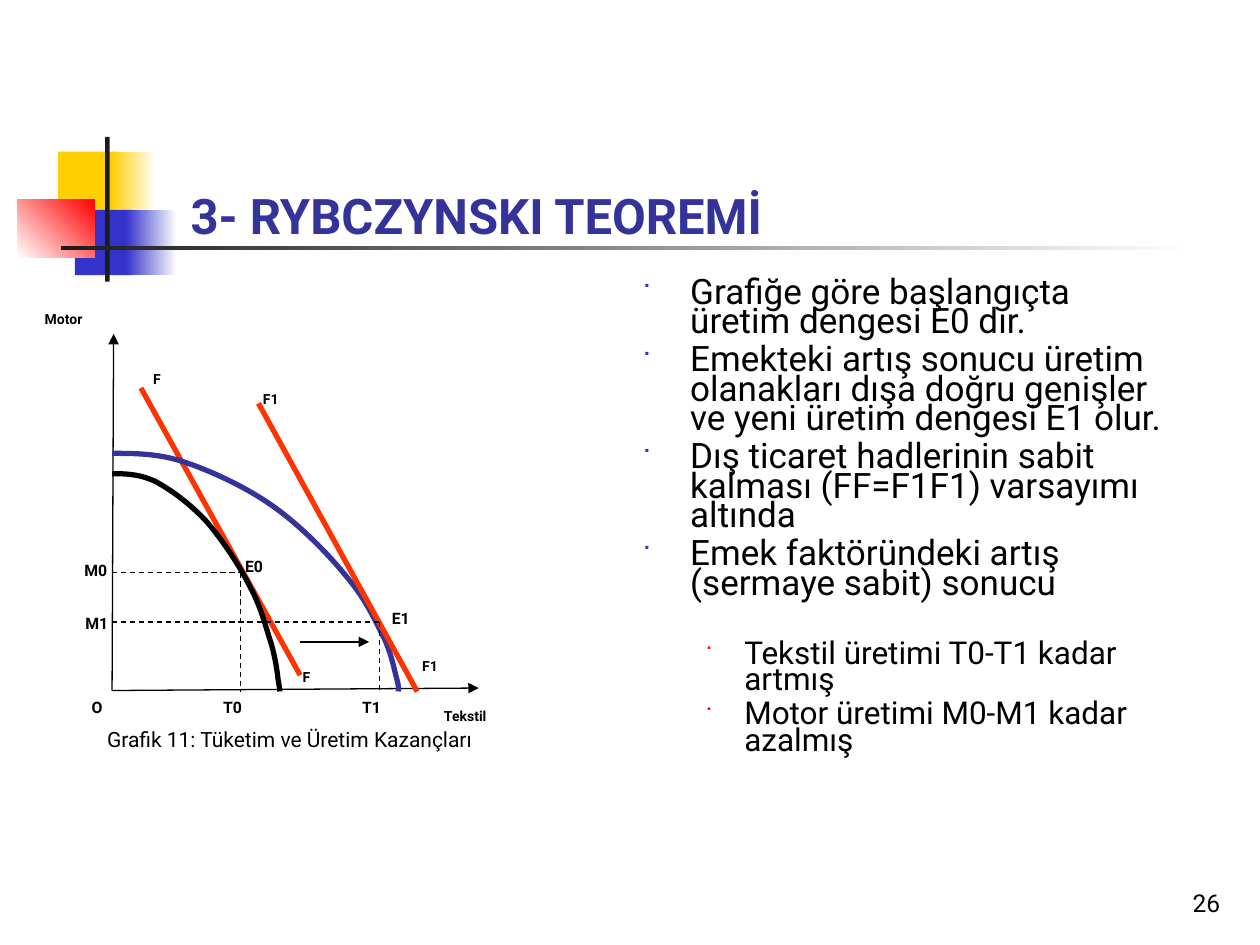
from lxml import etree
from pptx import Presentation
from pptx.dml.color import RGBColor
from pptx.enum.dml import MSO_LINE
from pptx.enum.shapes import MSO_CONNECTOR, MSO_SHAPE
from pptx.enum.text import MSO_ANCHOR, MSO_AUTO_SIZE, PP_ALIGN
from pptx.oxml.ns import qn
from pptx.util import Cm, Pt

RECTANGLE = MSO_SHAPE.RECTANGLE
STRAIGHT = MSO_CONNECTOR.STRAIGHT
DASH = MSO_LINE.DASH
LEFT, RIGHT, JUSTIFY = PP_ALIGN.LEFT, PP_ALIGN.RIGHT, PP_ALIGN.JUSTIFY
TOP, BOTTOM = MSO_ANCHOR.TOP, MSO_ANCHOR.BOTTOM
FIXED = MSO_AUTO_SIZE.NONE

BLACK = RGBColor(0x00, 0x00, 0x00)
WHITE = RGBColor(0xFF, 0xFF, 0xFF)
CHARCOAL = RGBColor(0x1C, 0x1C, 0x1C)
YELLOW = RGBColor(0xFF, 0xCF, 0x01)
BLUE = RGBColor(0x33, 0x33, 0xCC)
NAVY = RGBColor(0x33, 0x33, 0x99)
RED = RGBColor(0xFF, 0x00, 0x00)
ORANGE = RGBColor(0xFF, 0x33, 0x00)
FONT = "Roboto"
BULLET_FONT = "Wingdings"

TITLE = "3- RYBCZYNSKI TEOREMİ"
CAPTION = "Grafik 11: Tüketim ve Üretim Kazançları"
PAGE_NUMBER = "26"

POINTS = [
    (0, "Grafiğe göre başlangıçta üretim dengesi E0 dır."),
    (0, "Emekteki artış sonucu üretim olanakları dışa doğru genişler "
        "ve yeni üretim dengesi E1 olur."),
    (0, "Dış ticaret hadlerinin sabit kalması (FF=F1F1) varsayımı altında"),
    (0, "Emek faktöründeki artış (sermaye sabit) sonucu"),
    (1, "Tekstil üretimi T0-T1 kadar artmış"),
    (1, "Motor üretimi M0-M1 kadar azalmış"),
]
LEVELS = [
    {"size": 20, "before": 5, "margin": 0.97, "hang": 0.97, "bullet": BLUE, "percent": 60},
    {"size": 18, "before": 4.5, "margin": 2.06, "hang": 0.79, "bullet": RED, "percent": 55},
]
SUBLIST_GAP = 24

ORNAMENTS = [
    ((1.17, 3.06, 1.22, 1.32), (YELLOW,), 0),
    ((2.24, 3.06, 0.9, 1.32), (YELLOW, WHITE), 0),
    ((1.51, 4.23, 1.17, 1.32), (BLUE,), 0),
    ((2.54, 4.23, 1.02, 1.32), (BLUE, WHITE), 0),
    ((0.36, 4.02, 1.55, 1.17), (WHITE, RED), 45),
    ((2.12, 2.76, 0.09, 2.92), (CHARCOAL,), 0),
    ((1.23, 4.95, 22.86, 0.09), (CHARCOAL, WHITE), 0),
]

AXIS_X, BASE_Y = 2.26, 13.94
ARROWS = [
    ((AXIS_X, 13.92), (9.65, 13.87)),
    ((AXIS_X, 13.92), (2.29, 6.73)),
    ((6.05, 12.94), (7.44, 12.94)),
]
PRICE_LINES = [((2.84, 7.82), (6.05, 13.61)), ((5.21, 8.13), (8.41, BASE_Y))]
EQUILIBRIA = [(4.85, 11.54), (7.65, 12.54)]
FRONTIERS = [
    (BLACK, [
        (AXIS_X, 9.55),
        (2.51, 9.55), (2.79, 9.55), (3.12, 9.7),
        (3.43, 9.86), (3.84, 10.16), (4.17, 10.52),
        (4.47, 10.87), (4.83, 11.4), (5.03, 11.81),
        (5.26, 12.22), (5.36, 12.65), (5.46, 12.95),
        (5.56, 13.28), (5.59, 13.56), (5.61, 13.72),
        (5.64, 13.89), (5.64, 13.89), (5.64, BASE_Y),
    ]),
    (NAVY, [
        (AXIS_X, 9.14),
        (2.72, 9.14), (3.2, 9.14), (3.73, 9.32),
        (4.27, 9.5), (4.98, 9.83), (5.51, 10.21),
        (6.05, 10.59), (6.63, 11.18), (6.99, 11.63),
        (7.37, 12.07), (7.57, 12.52), (7.75, 12.88),
        (7.9, 13.21), (7.95, 13.51), (8, 13.69),
        (8.05, 13.87), (8.03, 13.89), (8.03, BASE_Y),
    ]),
]

LABELS = [
    ("Motor", 0.65, 6.13, 1.93, 8, JUSTIFY),
    ("Tekstil", 8.7, 14.13, 1.93, 8, JUSTIFY),
    ("O", 1.6, BASE_Y, 0.66, 9, JUSTIFY),
    ("F", 2.84, 7.34, 1.14, 8, LEFT),
    ("F", 5.85, 13.35, 1.14, 8, LEFT),
    ("F1", 5.05, 7.75, 1.14, 8, LEFT),
    ("F1", 8.26, 13.14, 1.14, 8, LEFT),
    ("E0", 4.69, 11.1, 1.14, 9, LEFT),
    ("E1", 7.65, 12.14, 1.14, 9, LEFT),
    ("M0", 1.45, 11.18, 1.14, 9, LEFT),
    ("M1", 1.47, 12.24, 1.14, 9, LEFT),
    ("T0", 4.25, BASE_Y, 1.14, 9, LEFT),
    ("T1", 7.05, BASE_Y, 1.14, 9, LEFT),
]


def place(shape, left, top, width, height):
    shape.left, shape.top = Cm(left), Cm(top)
    shape.width, shape.height = Cm(width), Cm(height)


def style(para, size, color=BLACK, bold=False):
    font = para.font
    font.name, font.size, font.bold = FONT, Pt(size), bold
    font.color.rgb = color


def add_ornament(page, area, colors, angle):
    shape = page.shapes.add_shape(RECTANGLE, *map(Cm, area))
    shape.shadow.inherit = False
    shape.line.fill.background()
    if len(colors) == 1:
        shape.fill.solid()
        shape.fill.fore_color.rgb = colors[0]
        return
    shape.fill.gradient()
    shape.fill.gradient_angle = angle
    for stop, color, position in zip(shape.fill.gradient_stops, colors, (0, 1)):
        stop.color.rgb = color
        stop.position = position


def add_text(page, text, area, size, align=LEFT, anchor=TOP, bold=False, before=0):
    box = page.shapes.add_textbox(*map(Cm, area))
    frame = box.text_frame
    frame.word_wrap = True
    frame.vertical_anchor = anchor
    para = frame.paragraphs[0]
    para.text = text
    para.alignment = align
    para.space_before = Pt(before)
    style(para, size, bold=bold)


def add_line(page, start, end, color=BLACK, width=0.75, dash=None, arrow=False):
    line = page.shapes.add_connector(STRAIGHT, *map(Cm, start + end))
    line.line.color.rgb = color
    line.line.width = Pt(width)
    if dash is not None:
        line.line.dash_style = dash
    if arrow:
        outline = line._element.spPr.find(qn("a:ln"))
        etree.SubElement(outline, qn("a:tailEnd"), type="triangle")
    etree.SubElement(line._element.spPr, qn("a:effectLst"))


def add_frontier(page, color, points):
    start, *controls = [tuple(map(Cm, point)) for point in points]
    builder = page.shapes.build_freeform(*start)
    builder.add_line_segments(controls, close=False)
    curve = builder.convert_to_shape()
    segments = list(curve._element.iter(qn("a:lnTo")))
    for index in range(0, len(segments), 3):
        bend = etree.Element(qn("a:cubicBezTo"))
        segments[index].addprevious(bend)
        for segment in segments[index:index + 3]:
            bend.append(segment[0])
            segment.getparent().remove(segment)
    curve.shadow.inherit = False
    curve.fill.background()
    curve.line.color.rgb = color
    curve.line.width = Pt(3)


def add_bullet(para, level):
    props = para._p.get_or_add_pPr()
    props.set("marL", str(Cm(level["margin"])))
    props.set("indent", str(-Cm(level["hang"])))
    color = etree.SubElement(props, qn("a:buClr"))
    etree.SubElement(color, qn("a:srgbClr"), val=str(level["bullet"]))
    etree.SubElement(props, qn("a:buSzPct"), val=str(level["percent"] * 1000))
    etree.SubElement(props, qn("a:buFont"), typeface=BULLET_FONT, charset="2")
    etree.SubElement(props, qn("a:buChar"), char="■")


def fill_body(body):
    place(body, 12.69, 5.53, 11.2, 11.43)
    frame = body.text_frame
    frame.auto_size = FIXED
    previous = 0
    for index, (depth, text) in enumerate(POINTS):
        para = frame.add_paragraph() if index else frame.paragraphs[0]
        level = LEVELS[depth]
        para.text, para.level = text, depth
        para.alignment = LEFT
        para.line_spacing = 0.7
        para.space_before = Pt(SUBLIST_GAP if depth > previous else level["before"])
        add_bullet(para, level)
        style(para, level["size"])
        previous = depth


def fill_title(title):
    place(title, 3.59, 0.99, 21.64, 4.06)
    frame = title.text_frame
    frame.auto_size = FIXED
    frame.vertical_anchor = BOTTOM
    para = frame.paragraphs[0]
    para.text = TITLE
    para.alignment = LEFT
    style(para, 28, NAVY, bold=True)


def main():
    deck = Presentation()
    deck.slide_width, deck.slide_height = Cm(25.4), Cm(19.05)
    page = deck.slides.add_slide(deck.slide_layouts[1])
    for ornament in ORNAMENTS:
        add_ornament(page, *ornament)
    fill_title(page.shapes.title)
    fill_body(page.placeholders[1])
    for start, end in ARROWS:
        add_line(page, start, end, arrow=True)
    add_line(page, *PRICE_LINES[0], ORANGE, 3)
    for frontier in FRONTIERS:
        add_frontier(page, *frontier)
    add_line(page, *PRICE_LINES[1], ORANGE, 3)
    for x, y in EQUILIBRIA:
        add_line(page, (AXIS_X, y), (x, y), dash=DASH)
        add_line(page, (x, y), (x, BASE_Y), dash=DASH)
    for text, left, top, width, size, align in LABELS:
        add_text(page, text, (left, top, width, 0.61), size, align, bold=True, before=size * 0.625)
    add_text(page, CAPTION, (1.91, 14.53, 8.36, 0.76), 12, before=7.5)
    add_text(page, PAGE_NUMBER, (19.57, 17.34, 5.28, 1.27), 14, RIGHT, BOTTOM)
    deck.save("out.pptx")


if __name__ == "__main__":
    main()
